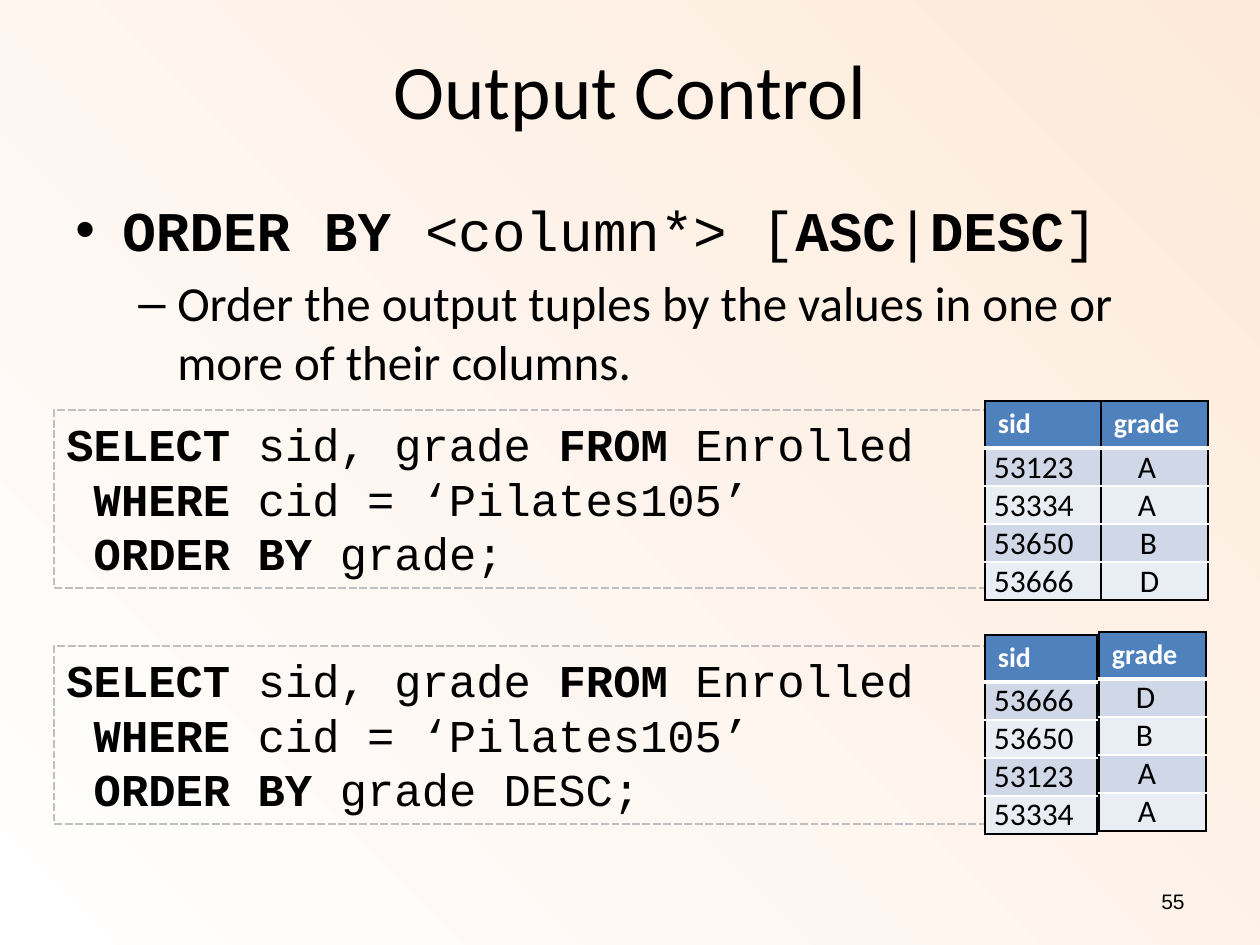
from lxml import etree
from pptx import Presentation
from pptx import util as u
from pptx.dml.color import RGBColor
from pptx.enum import dml, shapes, text
from pptx.oxml import parse_xml
from pptx.oxml.ns import nsdecls, qn

MONO, SANS = "Courier New", "Calibri"
BLACK, WHITE, BLUE = "000000", "FFFFFF", "4F81BD"


def px(n):
    return round(n * 914400 / 126)


def put(para, line, size, font, hue=BLACK):
    for i, part in enumerate(line.split("~")):
        if part:
            run = para.add_run()
            run.text = part
            run.font.size = u.Pt(size)
            run.font.name = font
            run.font.bold = i % 2 == 1
            run.font.color.rgb = RGBColor.from_string(hue)


deck = Presentation()
deck.slide_width, deck.slide_height = px(1260), px(945)
slide = deck.slides.add_slide(deck.slide_layouts[6])

fill = slide.background.fill
fill.gradient()
grad = slide.background._cSld.find(".//" + qn("a:gradFill"))
for kid in list(grad):
    grad.remove(kid)
for kid in (
    f'<a:gsLst {nsdecls("a")}><a:gs pos="0"><a:srgbClr val="FFFFFF"><a:alpha val="0"/></a:srgbClr></a:gs>'
    '<a:gs pos="100000"><a:srgbClr val="FDEADA"/></a:gs></a:gsLst>',
    f'<a:path {nsdecls("a")} path="circle"><a:fillToRect t="100000" r="100000"/></a:path>',
):
    grad.append(parse_xml(kid))

title = slide.shapes.add_textbox(px(63), px(10), px(1134), px(158)).text_frame
title.word_wrap = True
title.vertical_anchor = text.MSO_ANCHOR.MIDDLE
title.paragraphs[0].alignment = text.PP_ALIGN.CENTER
put(title.paragraphs[0], "Output Control", 44, SANS)

body = slide.shapes.add_textbox(px(63), px(189), px(1134), px(624)).text_frame
body.word_wrap = True
points = [
    ("~ORDER BY ~<column*> [~ASC~|~DESC~]", 32, MONO, "•", 47, 47),
    ("Order the output tuples by the values in one or more of their columns.", 28, SANS, "–", 102, 39),
]
for i, (line, size, font, mark, left, hang) in enumerate(points):
    para = body.add_paragraph() if i else body.paragraphs[0]
    para.level = i
    para.space_before = u.Pt(6)
    put(para, line, size, font)
    prop = para._p.get_or_add_pPr()
    prop.set("marL", str(px(left)))
    prop.set("indent", str(-px(hang)))
    etree.SubElement(prop, qn("a:buFont")).set("typeface", "Arial")
    etree.SubElement(prop, qn("a:buChar")).set("char", mark)

page = slide.shapes.add_textbox(px(903), px(876), px(294), px(50)).text_frame
page.word_wrap = True
page.vertical_anchor = text.MSO_ANCHOR.MIDDLE
page.paragraphs[0].alignment = text.PP_ALIGN.RIGHT
put(page.paragraphs[0], "55", 12, "Arial")

for top, order in ((410, "grade;"), (646, "grade DESC;")):
    box = slide.shapes.add_shape(shapes.MSO_SHAPE.RECTANGLE, px(54), px(top), px(1152), px(178))
    box.shadow.inherit = False
    box.fill.background()
    box.line.color.rgb = RGBColor.from_string("BFBFBF")
    box.line.width = u.Pt(1.5)
    box.line.dash_style = dml.MSO_LINE.SQUARE_DOT
    frame = box.text_frame
    frame.word_wrap = True
    frame.vertical_anchor = text.MSO_ANCHOR.TOP
    query = ["~SELECT ~sid, grade ~FROM ~Enrolled", "~ WHERE ~cid = ‘Pilates105’", "~ ORDER BY ~" + order]
    for i, line in enumerate(query):
        para = frame.add_paragraph() if i else frame.paragraphs[0]
        para.alignment = text.PP_ALIGN.LEFT
        put(para, line, 26, MONO)

narrow, wide = 28, 30
tables = [
    (985, 401, [116, 107], ["sid 53123 53334 53650 53666", "grade A A B D"], [narrow, narrow, wide, wide]),
    (985, 635, [112], ["sid 53666 53650 53123 53334"], []),
    (1099, 632, [107], ["grade D B A A"], [narrow, narrow, wide, wide]),
]
for left, top, widths, cols, dents in tables:
    grid = slide.shapes.add_table(5, len(cols), px(left), px(top), px(sum(widths)), px(199)).table
    for r, row in enumerate(grid.rows):
        row.height = px(38 if r else 47)
    for c, words in enumerate(cols):
        grid.columns[c].width = px(widths[c])
        for r, word in enumerate(words.split()):
            cell = grid.cell(r, c)
            head = r == 0
            cell.margin_left = cell.margin_right = px(9 if r else 13)
            cell.margin_top = cell.margin_bottom = px(0 if r else 6)
            cell.fill.solid()
            cell.fill.fore_color.rgb = RGBColor.from_string(BLUE if head else ("E9EDF4", "D0D8E8")[r % 2])
            para = cell.text_frame.paragraphs[0]
            put(para, "~" + word if head else word, 16 if head else 18, SANS, WHITE if head else BLACK)
            if r and words.startswith("grade"):
                prop = para._p.get_or_add_pPr()
                prop.set("marL", "0")
                prop.set("indent", str(px(dents[r - 1])))
            edges = [
                ("L", BLACK, 1),
                ("R", BLACK, 1),
                ("T", BLACK if head else WHITE, 3 if r == 1 else 1),
                ("B", BLACK if r == 4 else WHITE, 3 if head else 1),
            ]
            for i, (side, hue, width) in enumerate(edges):
                cell._tc.get_or_add_tcPr().insert(i, parse_xml(
                    f'<a:ln{side} {nsdecls("a")} w="{u.Pt(width)}"><a:solidFill>'
                    f'<a:srgbClr val="{hue}"/></a:solidFill></a:ln{side}>'))

deck.save("out.pptx")
